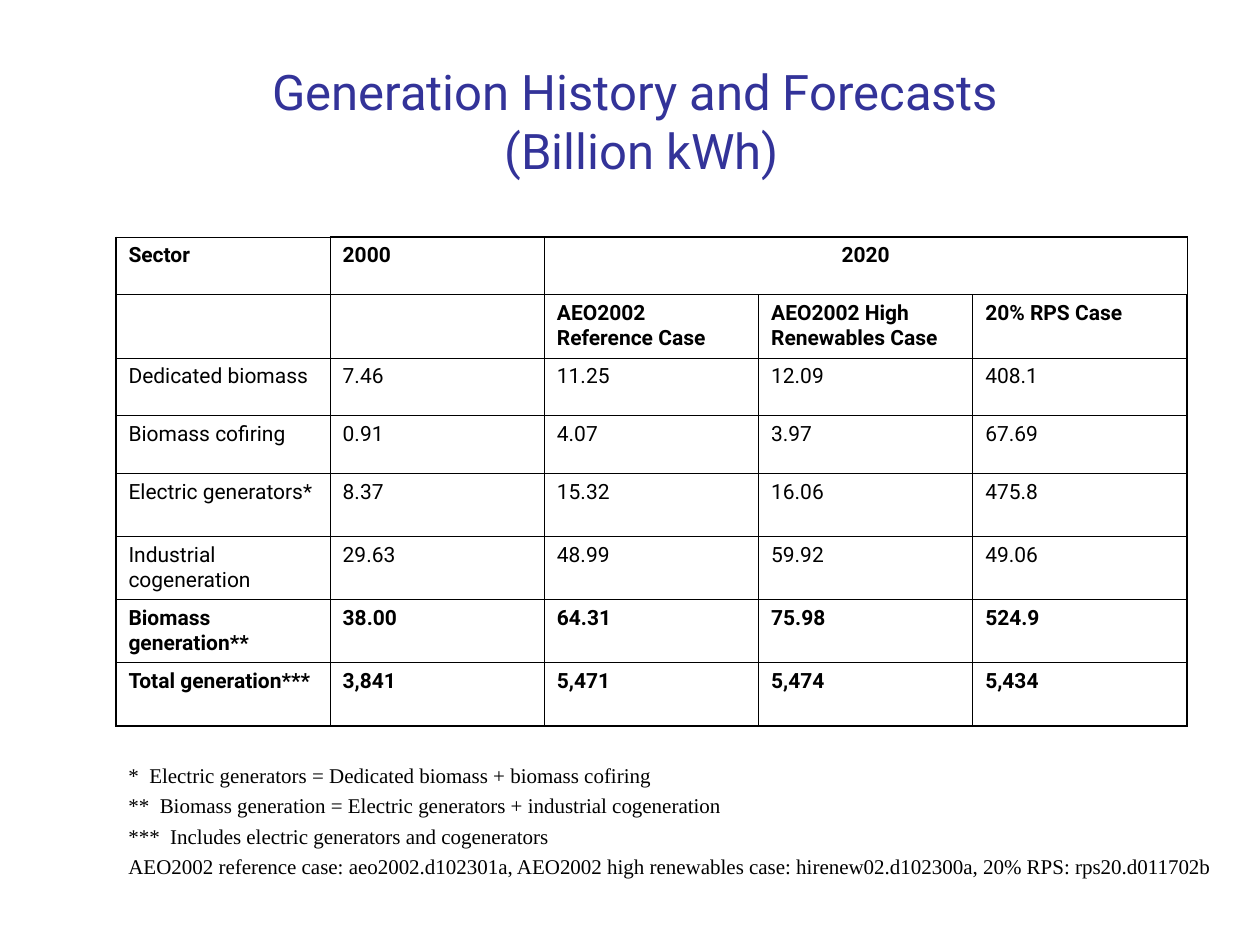
from lxml import etree
from pptx import Presentation
from pptx.dml.color import RGBColor
from pptx.enum.text import MSO_ANCHOR, MSO_AUTO_SIZE, PP_ALIGN
from pptx.oxml.ns import qn
from pptx.util import Inches, Pt

LEFT, CENTER = PP_ALIGN.LEFT, PP_ALIGN.CENTER
TOP, MIDDLE = MSO_ANCHOR.TOP, MSO_ANCHOR.MIDDLE
GROW = MSO_AUTO_SIZE.SHAPE_TO_FIT_TEXT
BLUE = RGBColor(0x33, 0x33, 0x99)
BLACK = RGBColor(0, 0, 0)
THIN, THICK = Pt(0.45), Pt(1.08)


def write(frame, text, size=12, face="Roboto", color=BLACK, bold=False,
          align=LEFT, anchor=TOP, gap=3):
    frame.word_wrap = True
    frame.vertical_anchor = anchor
    frame.text = text
    for num, para in enumerate(frame.paragraphs):
        para.alignment = align
        if num:
            para.space_before = Pt(gap)
        for run in para.runs:
            run.font.size = Pt(size)
            run.font.name = face
            run.font.bold = bold
            run.font.color.rgb = color


def border(cell, **sides):
    props = cell._tc.get_or_add_tcPr()
    for spot, side in enumerate("LRTB"):
        line = etree.Element(qn("a:ln" + side), w=str(sides[side]))
        fill = etree.SubElement(line, qn("a:solidFill"))
        etree.SubElement(fill, qn("a:srgbClr"), val=str(BLACK))
        props.insert(spot, line)


deck = Presentation()
deck.slide_width, deck.slide_height = Inches(10), Inches(7.5)
slide = deck.slides.add_slide(deck.slide_layouts[6])

title = slide.shapes.add_textbox(Inches(0.83), Inches(0.33), Inches(8.52), Inches(1.25))
write(title.text_frame, "Generation History and Forecasts \v(Billion kWh)",
      size=28, color=BLUE, align=CENTER, anchor=MIDDLE)

rows = [
    ["Sector", "2000", "2020", "", ""],
    ["", "", "AEO2002 Reference Case", "AEO2002 High Renewables Case", "20% RPS Case"],
    ["Dedicated biomass", "7.46", "11.25", "12.09", "408.1"],
    ["Biomass cofiring", "0.91", "4.07", "3.97", "67.69"],
    ["Electric generators*", "8.37", "15.32", "16.06", "475.8"],
    ["Industrial cogeneration", "29.63", "48.99", "59.92", "49.06"],
    ["Biomass generation**", "38.00", "64.31", "75.98", "524.9"],
    ["Total generation***", "3,841", "5,471", "5,474", "5,434"],
]
tall = [0.46, 0.5, 0.46, 0.46, 0.5, 0.5, 0.5, 0.5]
bold_rows = (0, 1, 6, 7)
last_row, last_col = len(rows) - 1, len(rows[0]) - 1

table = slide.shapes.add_table(len(rows), len(rows[0]), Inches(0.92), Inches(1.88),
                               Inches(8.5), Inches(sum(tall))).table
table.first_row = table.horz_banding = False
for col in table.columns:
    col.width = Inches(1.7)
for r, texts in enumerate(rows):
    table.rows[r].height = Inches(tall[r])
    for c, text in enumerate(texts):
        cell = table.cell(r, c)
        cell.fill.background()
        border(cell,
               L=THICK if c == 0 else THIN,
               R=THICK if c == last_col else THIN,
               T=THICK if r == 0 and c > 0 else THIN,
               B=THICK if r == last_row else THIN)
        if text:
            write(cell.text_frame, text, bold=r in bold_rows,
                  align=CENTER if text == "2020" else LEFT)
table.cell(0, 2).merge(table.cell(0, 4))

notes = [
    "*  Electric generators = Dedicated biomass + biomass cofiring",
    "**  Biomass generation = Electric generators + industrial cogeneration",
    "***  Includes electric generators and cogenerators",
    "AEO2002 reference case: aeo2002.d102301a, AEO2002 high renewables case: "
    "hirenew02.d102300a, 20% RPS: rps20.d011702b",
]
foot = slide.shapes.add_textbox(Inches(0.92), Inches(6), Inches(8.92), Inches(1.27))
write(foot.text_frame, "\n".join(notes), face="Times New Roman")
foot.text_frame.auto_size = GROW

deck.save("out.pptx")
